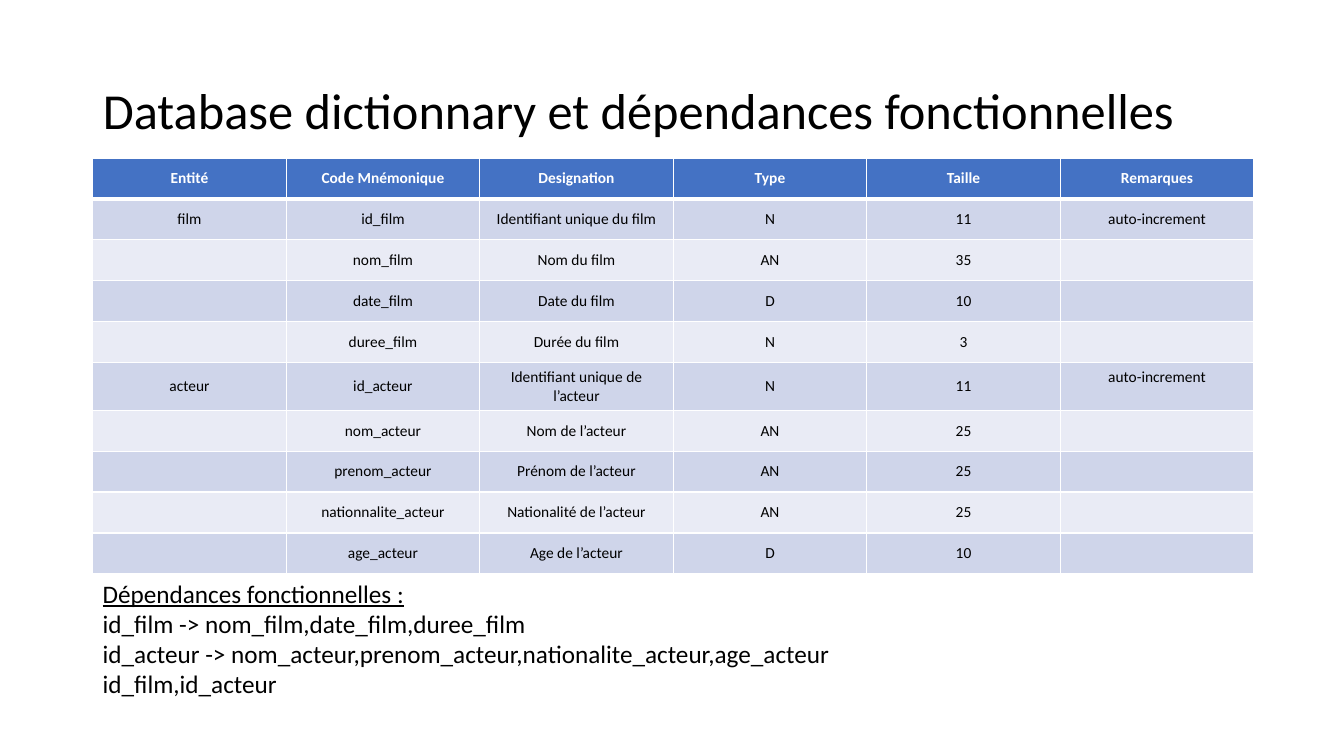
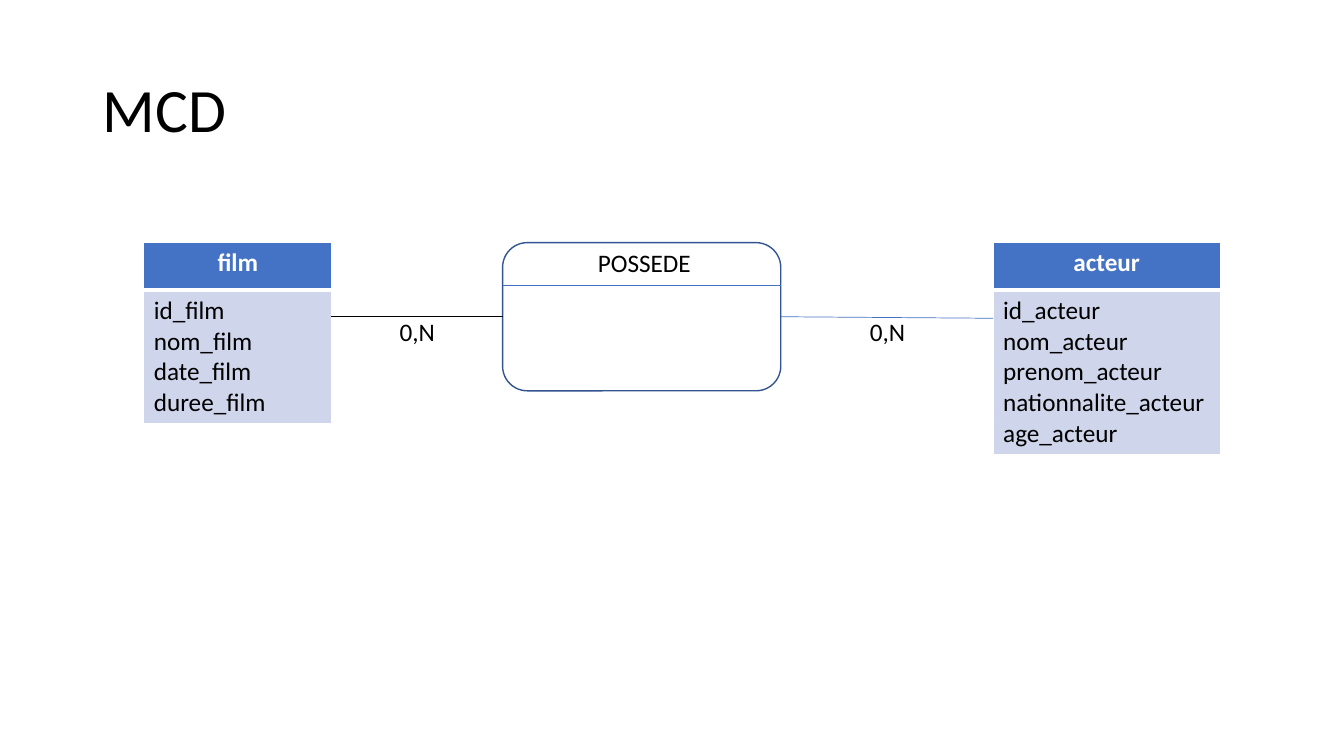
from lxml import etree
from pptx import Presentation
from pptx.dml.color import RGBColor
from pptx.enum.shapes import MSO_CONNECTOR, MSO_SHAPE
from pptx.enum.text import MSO_ANCHOR, PP_ALIGN
from pptx.oxml.ns import qn
from pptx.util import Inches, Pt

LEFT, CENTER = PP_ALIGN.LEFT, PP_ALIGN.CENTER
TOP, MIDDLE = MSO_ANCHOR.TOP, MSO_ANCHOR.MIDDLE
LINE, ROUND = MSO_CONNECTOR.STRAIGHT, MSO_SHAPE.ROUNDED_RECTANGLE

BLACK = RGBColor(0x00, 0x00, 0x00)
WHITE = RGBColor(0xFF, 0xFF, 0xFF)
BLUE = RGBColor(0x44, 0x72, 0xC4)
NAVY = RGBColor(0x32, 0x54, 0x91)
DARK = RGBColor(0xCF, 0xD5, 0xEA)
PALE = RGBColor(0xE9, 0xEB, 0xF5)
FONT = "Calibri"

deck = Presentation()
deck.slide_width, deck.slide_height = Inches(13.333), Inches(7.5)
# Lengths are thousandths of the slide's width (X) and height (Y)
X, Y = deck.slide_width // 1000, deck.slide_height // 1000
EDGE = 69 * X


def write(frame, text, size=18, color=BLACK, bold=False, align=LEFT, space=None):
    frame.word_wrap = True
    for i, line in enumerate(text.split("\n")):
        para = frame.add_paragraph() if i else frame.paragraphs[0]
        para.alignment, para.line_spacing = align, space
        run = para.add_run()
        run.text = line
        run.font.name, run.font.size = FONT, Pt(size)
        run.font.bold, run.font.color.rgb = bold, color


def draw_table(slide, rows, left, top, widths, heights, size=18, align=LEFT, anchor=TOP):
    table = slide.shapes.add_table(len(rows), len(widths), left, top,
                                   sum(widths), sum(heights)).table
    table.horz_banding = False
    for col, width in zip(table.columns, widths):
        col.width = width
    for r, (row, height) in enumerate(zip(rows, heights)):
        table.rows[r].height = height
        head = r == 0
        for c, text in enumerate(row):
            cell = table.cell(r, c)
            cell.vertical_anchor = anchor
            # White borders, thicker under the header
            props = cell._tc.get_or_add_tcPr()
            for side in ("lnL", "lnR", "lnT", "lnB"):
                thick = (head and side == "lnB") or (r == 1 and side == "lnT")
                edge = etree.SubElement(props, qn("a:" + side), w=str(Pt(3 if thick else 1)))
                paint = etree.SubElement(edge, qn("a:solidFill"))
                etree.SubElement(paint, qn("a:srgbClr"), val=str(WHITE))
            cell.fill.solid()
            cell.fill.fore_color.rgb = BLUE if head else DARK if r % 2 else PALE
            if text:
                write(cell.text_frame, text, size=size, color=WHITE if head else BLACK,
                      bold=head, align=CENTER if head else align)
    return table


# Shared title place, then one slide per title
layout = deck.slide_layouts[5]
name = layout.placeholders[0]
name.left, name.top, name.width, name.height = EDGE, 53 * Y, 863 * X, 193 * Y
slides = []
for text, size in (("Database dictionnary et dépendances fonctionnelles", 36), ("MCD", 44)):
    slide = deck.slides.add_slide(layout)
    slide.shapes.title.text_frame.vertical_anchor = MIDDLE
    write(slide.shapes.title.text_frame, text, size=size, space=0.9)
    slides.append(slide)
first, second = slides

# Slide 1: data dictionary
rows = [
    ("Entité", "Code Mnémonique", "Designation", "Type", "Taille", "Remarques"),
    ("film", "id_film", "Identifiant unique du film", "N", "11", "auto-increment"),
    ("", "nom_film", "Nom du film", "AN", "35", ""),
    ("", "date_film", "Date du film", "D", "10", ""),
    ("", "duree_film", "Durée du film", "N", "3", ""),
    ("acteur", "id_acteur", "Identifiant unique de l’acteur", "N", "11", "auto-increment"),
    ("", "nom_acteur", "Nom de l’acteur", "AN", "25", ""),
    ("", "prenom_acteur", "Prénom de l’acteur", "AN", "25", ""),
    ("", "nationnalite_acteur", "Nationalité de l’acteur", "AN", "25", ""),
    ("", "age_acteur", "Age de l’acteur", "D", "10", ""),
]
heights = [54 * Y] * len(rows)
heights[5] = 63 * Y
start = 209 * Y
table = draw_table(first, rows, EDGE, start, [144 * X] * 6, heights,
                   size=11, align=CENTER, anchor=MIDDLE)
table.cell(5, 5).margin_bottom = Inches(0.23)

# Slide 1: functional dependencies
box = first.shapes.add_textbox(EDGE, start + sum(heights), 593 * X, 175 * Y)
write(box.text_frame, "Dépendances fonctionnelles :\n"
      "id_film -> nom_film,date_film,duree_film\n"
      "id_acteur -> nom_acteur,prenom_acteur,nationalite_acteur,age_acteur\n"
      "id_film,id_acteur")
box.text_frame.paragraphs[0].runs[0].font.underline = True

# Slide 2: entities
level = 321 * Y
for head, body, left, width, height in (
    ("film", "id_film\nnom_film\ndate_film\nduree_film", 107, 140, 173),
    ("acteur", "id_acteur\nnom_acteur\nprenom_acteur\nnationnalite_acteur\nage_acteur",
     739, 169, 213),
):
    draw_table(second, [(head,), (body,)], left * X, level, [width * X], [63 * Y, height * Y])

# Slide 2: relation and its links
link = second.shapes.add_shape(ROUND, 374 * X, level, 207 * X, 196 * Y)
link.shadow.inherit = False
link.fill.background()
link.line.color.rgb, link.line.width = NAVY, Pt(1)
for x1, y1, x2, y2, color in (
    (374, 377, 581, 377, BLUE),
    (374, 419, 246, 419, BLACK),
    (581, 419, 739, 421, BLUE),
):
    line = second.shapes.add_connector(LINE, x1 * X, y1 * Y, x2 * X, y2 * Y)
    line.line.color.rgb, line.line.width = color, Pt(0.5)
    etree.SubElement(line._element.spPr, qn("a:effectLst"))

# Slide 2: labels
for text, left, top, width in (
    ("POSSEDE", 390, 321, 179), ("0,N", 287, 412, 47), ("0,N", 637, 412, 47),
):
    box = second.shapes.add_textbox(left * X, top * Y, width * X, 53 * Y)
    write(box.text_frame, text, align=CENTER)

deck.save("out.pptx")
